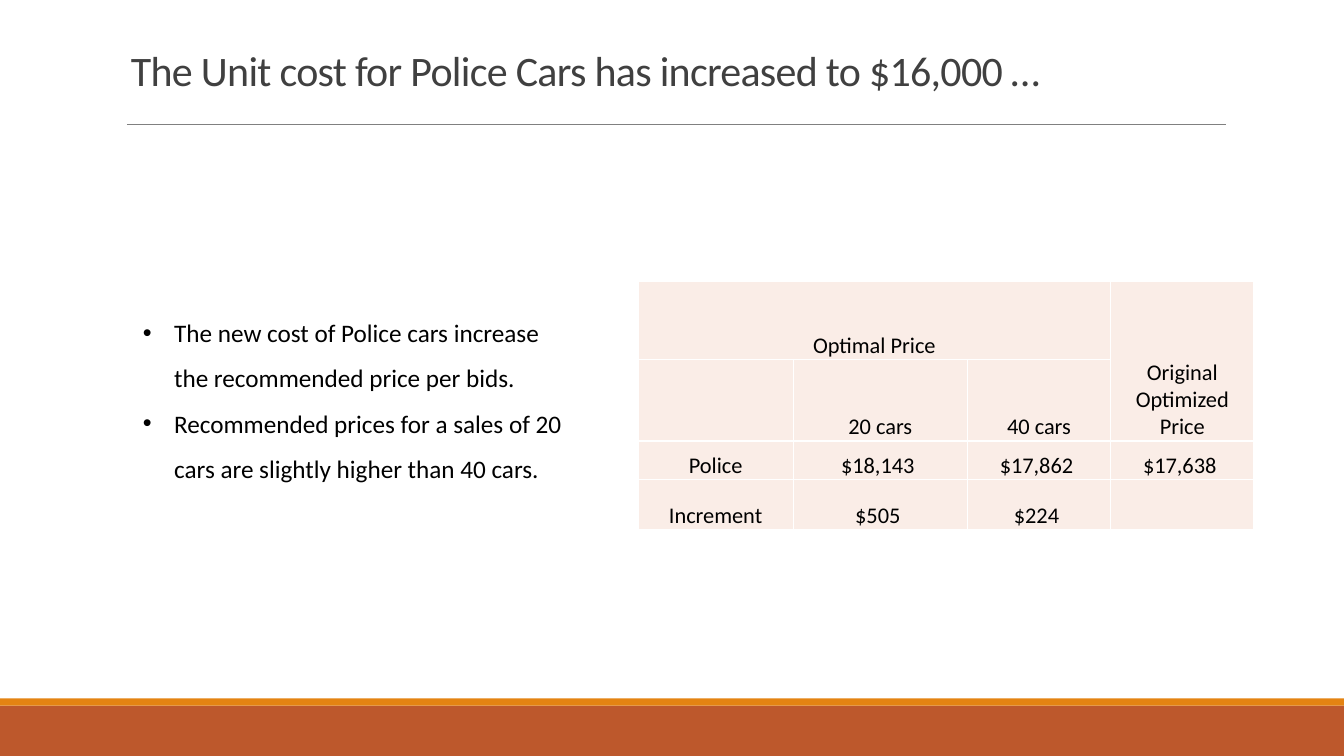
from lxml import etree
from pptx import Presentation
from pptx.dml.color import RGBColor
from pptx.enum.shapes import MSO_CONNECTOR, MSO_SHAPE
from pptx.enum.text import MSO_ANCHOR, MSO_AUTO_SIZE, PP_ALIGN
from pptx.oxml.ns import qn
from pptx.util import Cm, Pt

TITLE = "The Unit cost for Police Cars has increased to $16,000 …"
FINDINGS = [
    "The new cost of Police cars increase the recommended price per bids.",
    "Recommended prices for a sales of 20 cars are slightly higher than 40 cars.",
]
PRICES = [
    ["Optimal Price", "", "", "Original Optimized Price"],
    ["", "20 cars", "40 cars", ""],
    ["Police", "$18,143 ", "$17,862 ", "$17,638 "],
    ["Increment", "$505 ", "$224 ", ""],
]
MERGES = [((0, 0), (0, 2)), ((0, 3), (1, 3))]
COLUMN_WIDTHS = [3.91, 4.39, 3.61, 3.61]
ROW_HEIGHTS = [1.96, 0.97, 0.97, 1.27]

FONT = "Calibri"
BLACK = RGBColor(0x00, 0x00, 0x00)
WHITE = RGBColor(0xFF, 0xFF, 0xFF)
TITLE_GREY = RGBColor(0x40, 0x40, 0x40)
RULE_GREY = RGBColor(0x80, 0x80, 0x80)
RUST = RGBColor(0xBD, 0x58, 0x2C)
ORANGE = RGBColor(0xE4, 0x83, 0x12)
BLUSH = RGBColor(0xFA, 0xED, 0xE7)
BOTTOM = MSO_ANCHOR.BOTTOM
CENTER = PP_ALIGN.CENTER

SLIDE_WIDTH, SLIDE_HEIGHT = Cm(33.87), Cm(19.05)


def style(paragraph, size, color):
    paragraph.font.name = FONT
    paragraph.font.size = Pt(size)
    paragraph.font.color.rgb = color


def add_band(slide, top, height, color):
    band = slide.shapes.add_shape(MSO_SHAPE.RECTANGLE, 0, top, SLIDE_WIDTH, height)
    band.shadow.inherit = False
    band.fill.solid()
    band.fill.fore_color.rgb = color
    band.line.fill.background()


def add_title(slide):
    rule = slide.shapes.add_connector(
        MSO_CONNECTOR.STRAIGHT, Cm(3.2), Cm(3.13), Cm(30.89), Cm(3.13))
    rule.line.color.rgb = RULE_GREY
    rule.line.width = Pt(0.5)
    etree.SubElement(rule._element.spPr, qn("a:effectLst"))

    frame = slide.shapes.add_textbox(Cm(3.05), Cm(1.02), Cm(27.94), Cm(1.5)).text_frame
    frame.word_wrap = True
    frame.vertical_anchor = BOTTOM
    heading = frame.paragraphs[0]
    run = heading.add_run()
    run.text = TITLE
    run.font._element.set("spc", "-50")
    heading.line_spacing = 0.85
    style(heading, 30, TITLE_GREY)


def add_border(cell):
    """Draw a thin white line on all four sides; borders precede the fill in XML."""
    properties = cell._tc.get_or_add_tcPr()
    for position, side in enumerate(("lnL", "lnR", "lnT", "lnB")):
        line = etree.Element(qn(f"a:{side}"), w=str(Pt(1)))
        fill = etree.SubElement(line, qn("a:solidFill"))
        etree.SubElement(fill, qn("a:srgbClr"), val=str(WHITE))
        properties.insert(position, line)


def add_prices(slide):
    table = slide.shapes.add_table(
        len(PRICES), len(COLUMN_WIDTHS), Cm(16.08), Cm(7.09),
        Cm(sum(COLUMN_WIDTHS)), Cm(sum(ROW_HEIGHTS))).table
    table.first_row = table.horz_banding = False
    for column, width in zip(table.columns, COLUMN_WIDTHS):
        column.width = Cm(width)
    for row, height in zip(table.rows, ROW_HEIGHTS):
        row.height = Cm(height)
    for r, texts in enumerate(PRICES):
        for c, text in enumerate(texts):
            cell = table.cell(r, c)
            cell.text = text
            cell.vertical_anchor = BOTTOM
            cell.margin_left = cell.margin_right = cell.margin_top = Cm(0.03)
            cell.margin_bottom = 0
            cell.fill.solid()
            cell.fill.fore_color.rgb = BLUSH
            add_border(cell)
            paragraph = cell.text_frame.paragraphs[0]
            paragraph.alignment = CENTER
            style(paragraph, 16, BLACK)
    for first, last in MERGES:
        table.cell(*first).merge(table.cell(*last))


def add_findings(slide):
    frame = slide.shapes.add_textbox(Cm(3.35), Cm(7.49), Cm(11.48), Cm(4.75)).text_frame
    frame.word_wrap = True
    frame.auto_size = MSO_AUTO_SIZE.SHAPE_TO_FIT_TEXT
    frame.text = "\n".join(FINDINGS)
    for finding in frame.paragraphs:
        finding.line_spacing = 1.5
        style(finding, 18, BLACK)
        properties = finding._p.get_or_add_pPr()
        properties.set("marL", str(Cm(0.79)))
        properties.set("indent", str(-Cm(0.79)))
        bullet_font = etree.Element(qn("a:buFont"), typeface="Arial")
        bullet = etree.Element(qn("a:buChar"), char="•")
        properties.find(qn("a:lnSpc")).addnext(bullet_font)
        bullet_font.addnext(bullet)


def main():
    deck = Presentation()
    deck.slide_width, deck.slide_height = SLIDE_WIDTH, SLIDE_HEIGHT
    slide = deck.slides.add_slide(deck.slide_layouts[6])
    add_band(slide, Cm(17.78), Cm(1.27), RUST)
    add_band(slide, Cm(17.6), Cm(0.18), ORANGE)
    add_title(slide)
    add_prices(slide)
    add_findings(slide)
    deck.save("out.pptx")


if __name__ == "__main__":
    main()
